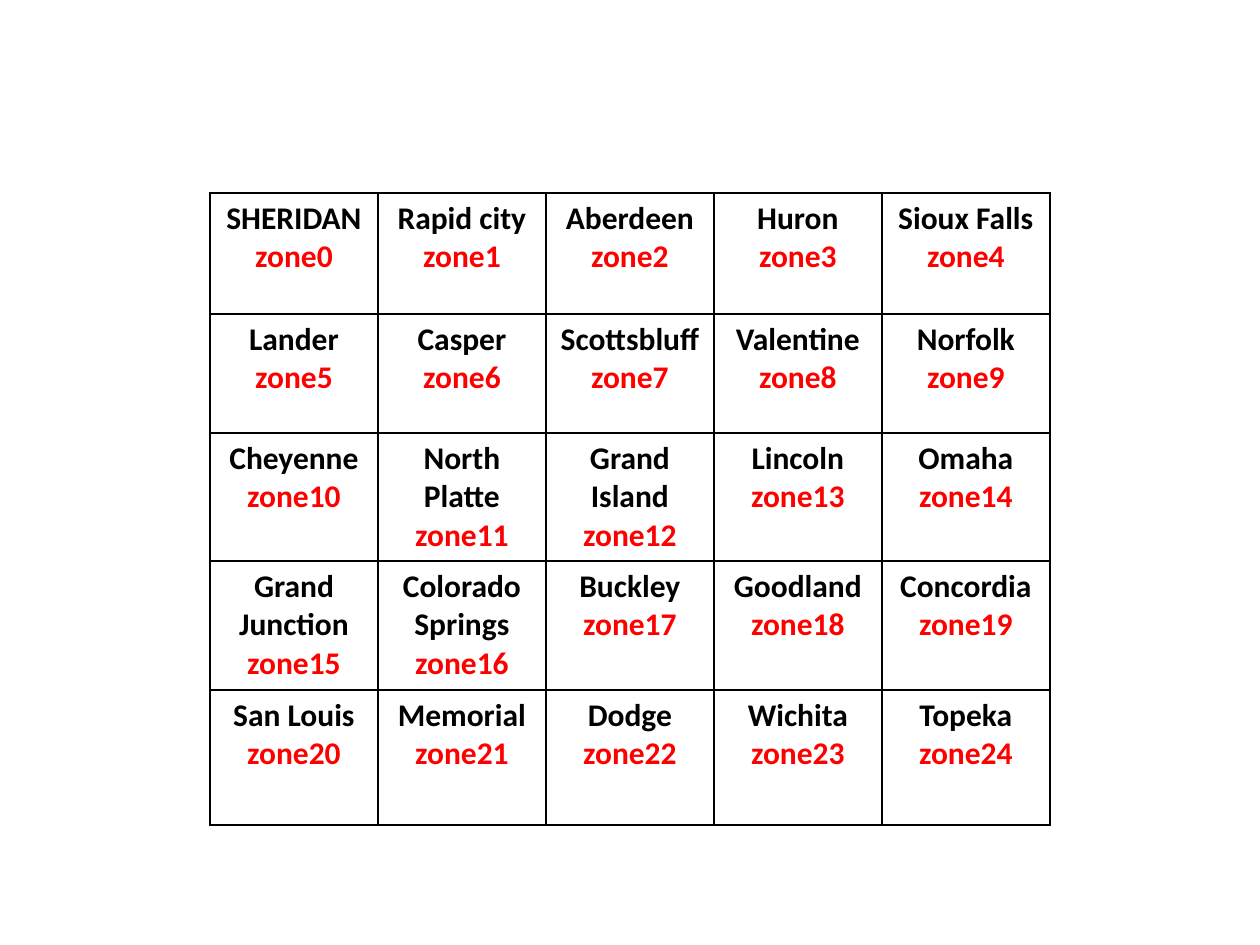
from lxml.etree import SubElement
from pptx import Presentation
from pptx.dml.color import RGBColor
from pptx.enum.text import PP_ALIGN as Align
from pptx.oxml.ns import qn
from pptx.util import Pt

PX = 914400 // 126
SLIDE_SIZE = (1260, 945)
TABLE_LEFT, TABLE_TOP = 210, 193
COLUMN_WIDTH = 168
ROW_HEIGHTS = [121, 119, 128, 129, 135]
BLACK, RED, WHITE = "000000", "FF0000", "FFFFFF"
FONT = {"name": "Calibri", "size": Pt(18), "bold": True}

CITIES = [
    ["SHERIDAN", "Rapid city", "Aberdeen", "Huron", "Sioux Falls"],
    ["Lander", "Casper", "Scottsbluff", "Valentine", "Norfolk"],
    ["Cheyenne", "North Platte", "Grand Island", "Lincoln", "Omaha"],
    ["Grand Junction", "Colorado Springs", "Buckley", "Goodland", "Concordia"],
    ["San Louis", "Memorial", "Dodge", "Wichita", "Topeka"],
]


def color(hex_string):
    return RGBColor.from_string(hex_string)


def add_borders(cell):
    properties = cell._tc.get_or_add_tcPr()
    for side in ("a:lnL", "a:lnR", "a:lnT", "a:lnB"):
        line = SubElement(properties, qn(side), w=str(Pt(1)))
        fill = SubElement(line, qn("a:solidFill"))
        SubElement(fill, qn("a:srgbClr"), val=BLACK)


def write_cell(cell, city, zone):
    add_borders(cell)  # the schema wants borders ahead of the fill
    cell.fill.solid()
    cell.fill.fore_color.rgb = color(WHITE)
    frame = cell.text_frame
    frame.text = f"{city}\n{zone}"
    for paragraph, text_color in zip(frame.paragraphs, (BLACK, RED)):
        paragraph.alignment = Align.CENTER
        font = paragraph.runs[0].font
        for name, value in FONT.items():
            setattr(font, name, value)
        font.color.rgb = color(text_color)


def main():
    presentation = Presentation()
    presentation.slide_width, presentation.slide_height = (
        side * PX for side in SLIDE_SIZE
    )
    slide = presentation.slides.add_slide(presentation.slide_layouts[6])

    column_count = len(CITIES[0])
    table = slide.shapes.add_table(
        len(CITIES), column_count,
        TABLE_LEFT * PX, TABLE_TOP * PX,
        column_count * COLUMN_WIDTH * PX, sum(ROW_HEIGHTS) * PX,
    ).table
    table.first_row = table.horz_banding = False
    for column in table.columns:
        column.width = COLUMN_WIDTH * PX
    for row_index, (height, cities) in enumerate(zip(ROW_HEIGHTS, CITIES)):
        table.rows[row_index].height = height * PX
        for column_index, city in enumerate(cities):
            zone = f"zone{row_index * column_count + column_index}"
            write_cell(table.cell(row_index, column_index), city, zone)

    presentation.save("out.pptx")


if __name__ == "__main__":
    main()
